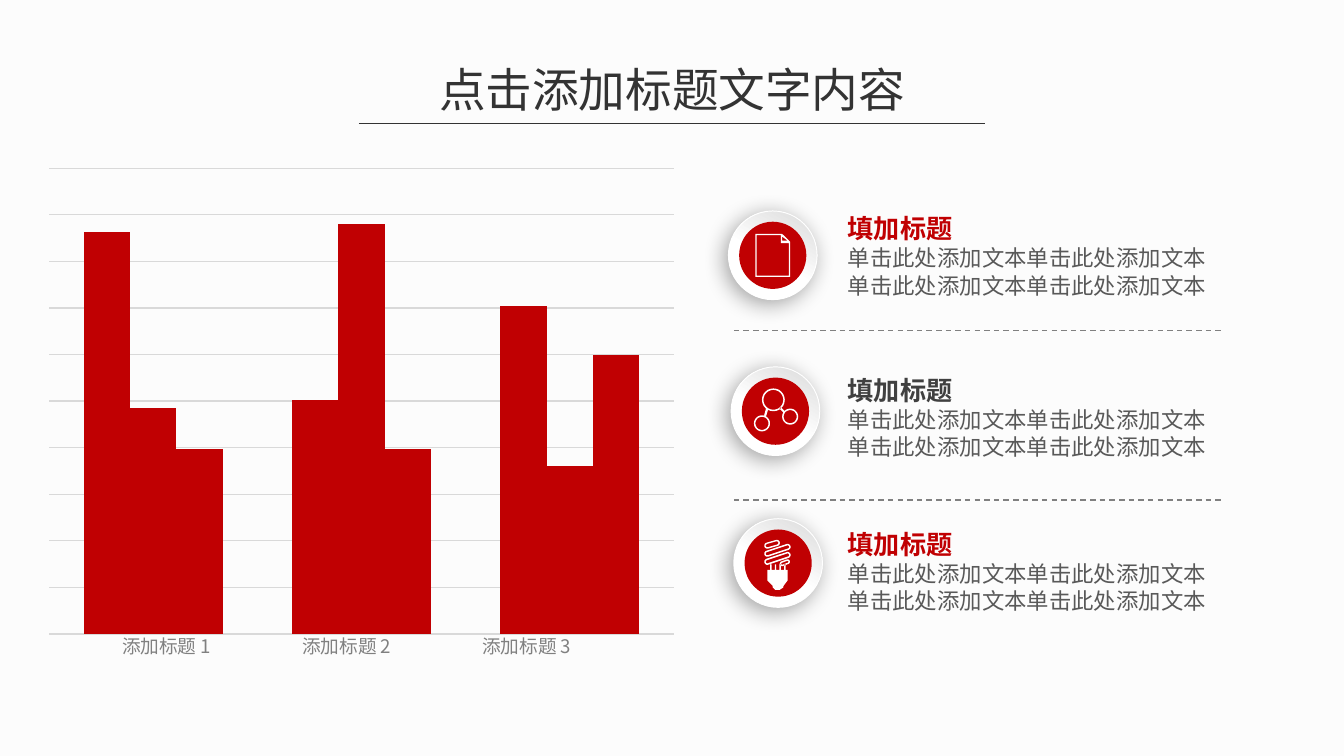
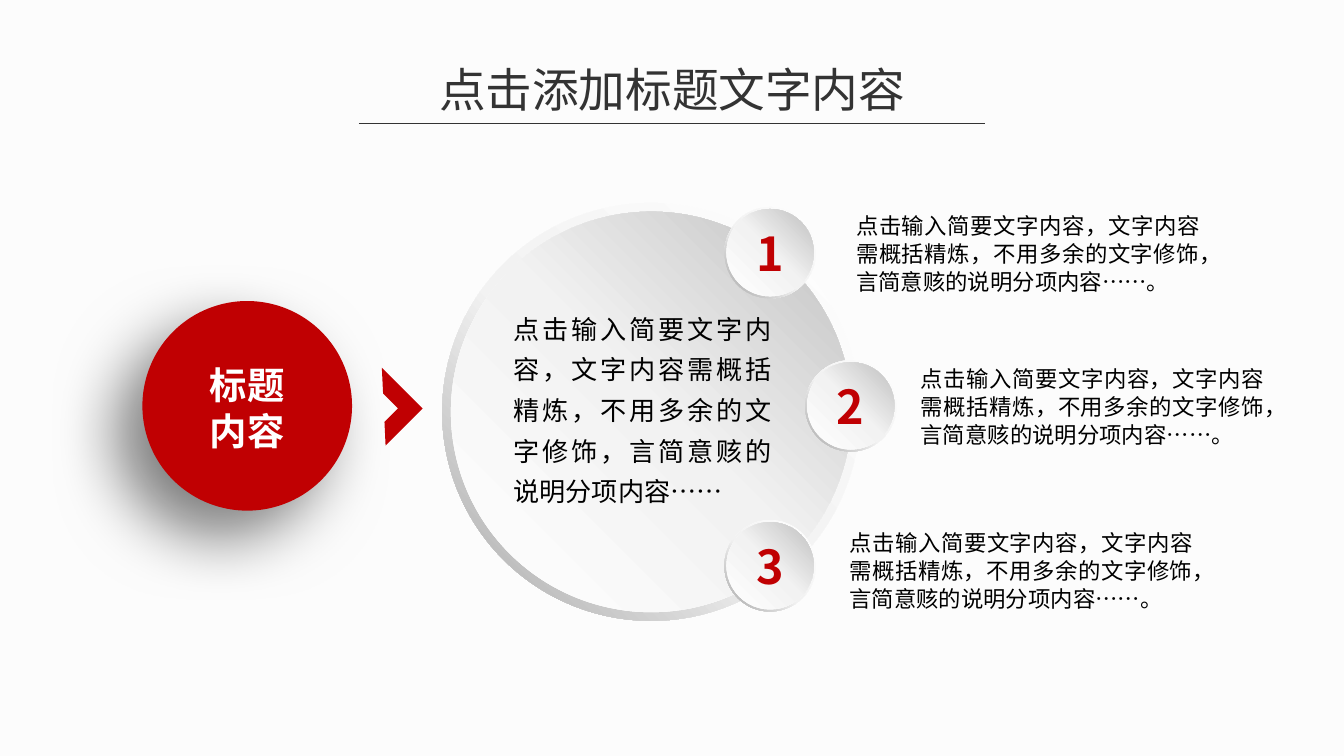
import math

from lxml import etree
from pptx import Presentation
from pptx import util as u
from pptx.chart import data as chart_data
from pptx.dml import color
from pptx.enum import chart as chart_enum, dml, shapes, text
from pptx.oxml import ns

FONT = "Noto Sans CJK SC"
RED, DARK, GREY, BLACK, WHITE = "C00002", "333333", "808080", "000000", "FFFFFF"
BADGE_STOPS = [(45, WHITE), (100, "D9D9D9")]
RIM_STOPS = [(0, WHITE), (55, "F2F2F2"), (100, "A6A6A6")]
FACE_STOPS = [(0, WHITE), (51, "F2F2F2"), (100, "BFBFBF")]
COLUMNS, ROWS = 100, 56.25
CENTER, JUSTIFY = text.PP_ALIGN.CENTER, text.PP_ALIGN.JUSTIFY


def rgb(hex_string):
    return color.RGBColor.from_string(hex_string)


def child(parent, tag, **attributes):
    return etree.SubElement(parent, ns.qn(tag), {k: str(v) for k, v in attributes.items()})


# Icon outlines, in grid cells from the badge's top left corner
def capsule(x0, y0, x1, y1, radius):
    heading = math.atan2(y1 - y0, x1 - x0)
    outline = []
    for x, y, turn in ((x1, y1, -90), (x0, y0, 90)):
        for step in range(0, 181, 15):
            angle = heading + math.radians(turn + step)
            outline.append((x + radius * math.cos(angle), y + radius * math.sin(angle)))
    return outline


def tube(x0, y0, x1, y1, radius):
    return [capsule(x0, y0, x1, y1, r) for r in (radius, radius - 0.11)]


def box(left, top, right, bottom):
    return [(left, top), (right, top), (right, bottom), (left, bottom)]


PAGE = [
    [(2, 1.7), (4, 1.7), (4.6, 2.3), (4.6, 4.9), (2, 4.9)],
    [(4, 1.9), (4.4, 2.2), (4, 2.2)],
    [(2.1, 1.8), (3.9, 1.8), (3.9, 2.4), (4.5, 2.4), (4.5, 4.8), (2.1, 4.8)],
]
MOLECULE = [
    *tube(3.15, 2.45, 3.15, 2.45, 0.85),
    *tube(2.3, 4.2, 2.3, 4.2, 0.6),
    *tube(4.4, 3.7, 4.4, 3.7, 0.6),
    [(2.6, 3.1), (2.75, 3.2), (2.6, 3.7), (2.45, 3.65)],
    [(3.6, 3.1), (3.7, 3), (4, 3.3), (3.9, 3.4)],
]
BULB = [
    *tube(2.5, 2, 3.2, 1.8, 0.23),
    *tube(2.5, 2.6, 4, 2.1, 0.23),
    *tube(2.5, 3.2, 4, 2.7, 0.23),
    *tube(3.6, 3.35, 4, 3.2, 0.18),
    *[box(x, 3.4, x + 0.11, 3.8) for x in (2.7, 3.05, 3.4, 3.75)],
    [(2.5, 3.8), (4, 3.8), (4, 4.6), (3.7, 5), (3.7, 5.1),
     (3.4, 5.3), (3.1, 5.3), (2.9, 5.1), (2.9, 5), (2.5, 4.6)],
]


class Deck:
    """Holds the shared style and the current slide."""

    def __init__(self):
        self.prs = Presentation()
        self.prs.slide_width, self.prs.slide_height = u.Inches(10), u.Inches(5.625)
        background = self.prs.slide_master.background.fill
        background.solid()
        background.fore_color.rgb = rgb("FCFCFC")

    def place(self, *lengths):
        """Grid cells to EMU, alternating columns and rows."""
        cells = (self.prs.slide_width / COLUMNS, self.prs.slide_height / ROWS)
        return [u.Emu(round(n * cells[i % 2])) for i, n in enumerate(lengths)]

    def new_slide(self, heading):
        self.slide = self.prs.slides.add_slide(self.prs.slide_layouts[5])
        self.shapes = self.slide.shapes
        title = self.shapes.title
        title.left, title.top, title.width, title.height = self.place(31.5, 4, 37, 5.2)
        self.add_lines(title.text_frame, [(heading, 25, DARK, False)], CENTER)
        self.rule(26.7, 73.3, 9.2, DARK)

    def group(self):
        self.shapes = self.slide.shapes.add_group_shape().shapes

    def ungroup(self):
        self.shapes = self.slide.shapes

    def add_lines(self, frame, lines, align=None, leading=None):
        """Each line is (words, size, colour, bold)."""
        for i, (words, size, ink, bold) in enumerate(lines):
            paragraph = frame.add_paragraph() if i else frame.paragraphs[0]
            paragraph.alignment = align
            paragraph.line_spacing = u.Pt(leading or size * 1.22)
            paragraph.space_before = u.Pt(0)
            run = paragraph.add_run()
            run.text = words
            font = run.font
            font.size, font.bold, font.name = u.Pt(size), bold, FONT
            font.color.rgb = rgb(ink)
            child(font._element, "a:ea", typeface=FONT)

    def text(self, at, lines, align=None, leading=None, inset=True, wrap=True):
        frame = self.shapes.add_textbox(*self.place(*at)).text_frame
        frame.word_wrap = wrap
        frame.auto_size = text.MSO_AUTO_SIZE.SHAPE_TO_FIT_TEXT
        if not inset:
            frame.margin_left = frame.margin_right = 0
            frame.margin_top = frame.margin_bottom = 0
        self.add_lines(frame, lines, align, leading)

    def rule(self, left, right, row, ink, dashed=False):
        line = self.shapes.add_connector(
            shapes.MSO_CONNECTOR.STRAIGHT, *self.place(left, row, right, row))
        line.line.color.rgb = rgb(ink)
        line.line.width = u.Pt(0.75)
        if dashed:
            line.line.dash_style = dml.MSO_LINE.DASH
        child(line._element.spPr, "a:effectLst")

    def paint(self, shape, fill, angle=0, edge=None, shadow=None):
        """fill is a colour or a list of stops; shadow is (opacity, blur, distance)."""
        if isinstance(fill, str):
            shape.fill.solid()
            shape.fill.fore_color.rgb = rgb(fill)
        else:
            shape.fill.gradient()
            shape.fill.gradient_angle = 360 - angle
            stops = shape._element.spPr.find(".//" + ns.qn("a:gsLst"))
            for stop in list(stops):
                stops.remove(stop)
            for position, hex_string in fill:
                stop = child(stops, "a:gs", pos=position * 1000)
                child(stop, "a:srgbClr", val=hex_string)
        if edge:
            shape.line.color.rgb = rgb(edge)
            shape.line.width = u.Pt(0.5)
        else:
            shape.line.fill.background()
        shape.shadow.inherit = False
        if shadow:
            opacity, blur, distance = shadow
            effects = shape._element.spPr.find(ns.qn("a:effectLst"))
            cast = child(effects, "a:outerShdw", blurRad=u.Pt(blur), dist=u.Pt(distance),
                         dir=135 * 60000, algn="tr", rotWithShape=0)
            child(child(cast, "a:srgbClr", val=BLACK), "a:alpha", val=opacity * 1000)

    def shape(self, kind, at, fill, **look):
        shape = self.shapes.add_shape(kind, *self.place(*at))
        self.paint(shape, fill, **look)
        return shape

    def circle(self, left, top, size, fill, **look):
        return self.shape(shapes.MSO_SHAPE.OVAL, (left, top, size, size), fill, **look)

    def badge(self, left, top, outlines):
        self.group()
        self.circle(left, top, 6.6, BADGE_STOPS, angle=300, edge=WHITE, shadow=(34, 12, 3))
        self.circle(left + 0.8, top + 0.8, 5, RED)
        contours = [[(x * 100, y * 100) for x, y in outline] for outline in outlines]
        pen = self.shapes.build_freeform(*contours[0][0], scale=self.prs.slide_width / COLUMNS / 100)
        for i, contour in enumerate(contours):
            if i:
                pen.move_to(*contour[0])
            pen.add_line_segments(contour[1:], close=True)
        self.paint(pen.convert_to_shape(*self.place(left, top)), WHITE)
        self.ungroup()

    def disc(self, left, top, size, face, label=None):
        self.group()
        rim = self.shape(shapes.MSO_SHAPE.DONUT, (left, top, size, size), RIM_STOPS, angle=135)
        rim.adjustments[0] = 0.049
        inset = (size - face) / 2
        front = self.circle(left + inset, top + inset, face, FACE_STOPS, angle=315)
        if label:
            front.text_frame.vertical_anchor = text.MSO_ANCHOR.MIDDLE
            self.add_lines(front.text_frame, [(label, 25, RED, True)], CENTER)
        self.ungroup()

    def columns(self, at, categories, series):
        content = chart_data.CategoryChartData()
        content.categories = categories
        for name, values in series.items():
            content.add_series(name, values)
        chart = self.shapes.add_chart(
            chart_enum.XL_CHART_TYPE.COLUMN_CLUSTERED, *self.place(*at), content).chart
        chart.has_title = chart.has_legend = False
        chart.font.name, chart.font.size = "Calibri", u.Pt(10)
        chart.font.color.rgb = rgb(BLACK)
        chart.category_axis.visible = chart.value_axis.visible = False
        scale = chart.value_axis
        scale.minimum_scale, scale.maximum_scale, scale.major_unit = 0, 113.6, 11.36
        scale.has_major_gridlines = True
        grid = scale.major_gridlines.format.line
        grid.color.rgb, grid.width = rgb("D9D9D9"), u.Pt(0.75)
        plot = chart.plots[0]
        plot.gap_width, plot.overlap, plot.vary_by_categories = 150, 0, False
        for bars in plot.series:
            bars.format.fill.solid()
            bars.format.fill.fore_color.rgb = rgb(RED)


def chart_slide(deck):
    deck.new_slide("点击添加标题文字内容")

    # Chart with its category labels
    deck.columns((2.7, 11.8, 48.4, 36.1), ["1", "2", "3"], {
        "Series 1": (98, 57, 80),
        "Series 2": (55, 100, 41),
        "Series 3": (45, 45, 68),
    })
    for i in range(3):
        deck.text((7.6 + 13.4 * i, 46.7, 9.6, 2.7),
                  [(f"添加标题 {i + 1}", 10, GREY, False)], CENTER)

    # Three points with badges, split by dashed rules
    detail = ("单击此处添加文本单击此处添加文本", 12, "595959", False)
    for row, ink in ((15.3, RED), (27.3, "404040"), (38.8, RED)):
        deck.text((62.1, row, 30.4, 7.4), [("填加标题", 14, ink, True), detail, detail])
    for row in (24.6, 37.2):
        deck.rule(54.6, 90.9, row, GREY, dashed=True)
    for i, (row, icon) in enumerate(((15.7, PAGE), (27.3, MOLECULE), (38.6, BULB))):
        deck.badge(54.2 + 0.2 * i, row, icon)


def breakdown_slide(deck):
    deck.new_slide("点击添加标题文字内容")
    summary = "点击输入简要文字内容，文字内容需概括精炼，不用多余的文字修饰，言简意赅的说明分项内容……"

    # Topic circle, main disc and numbered discs
    deck.circle(10.6, 22.4, 15.6, RED, shadow=(50, 35, 20))
    deck.disc(32.9, 15.1, 31.1, 29.8)
    numbered = ((53.9, 15.4), (59.9, 26.8), (53.9, 38.7))
    for number, (left, top) in enumerate(numbered, 1):
        deck.disc(left, top, 6.8, 6.5, str(number))

    # Wording
    deck.text((15.6, 26.9, 5.6, 6.7), [(line, 20, WHITE, True) for line in ("标题", "内容")],
              CENTER, inset=False, wrap=False)
    for left, top in ((63.7, 15.7), (68.5, 27.1), (63.2, 39.3)):
        deck.text((left, top, 25.6, 6.3), [(summary + "。", 12, BLACK, False)],
                  JUSTIFY, leading=15, inset=False)
    deck.text((38.2, 22.6, 19.2, 15), [(summary, 14, BLACK, False)],
              JUSTIFY, leading=21.8, inset=False)

    # Arrow from topic to disc
    arrow = deck.shape(shapes.MSO_SHAPE.HALF_FRAME, (26.6, 28.1, 3.9, 4.3), RED)
    arrow.rotation = 135


def main():
    deck = Deck()
    chart_slide(deck)
    breakdown_slide(deck)
    deck.prs.save("out.pptx")


if __name__ == "__main__":
    main()
